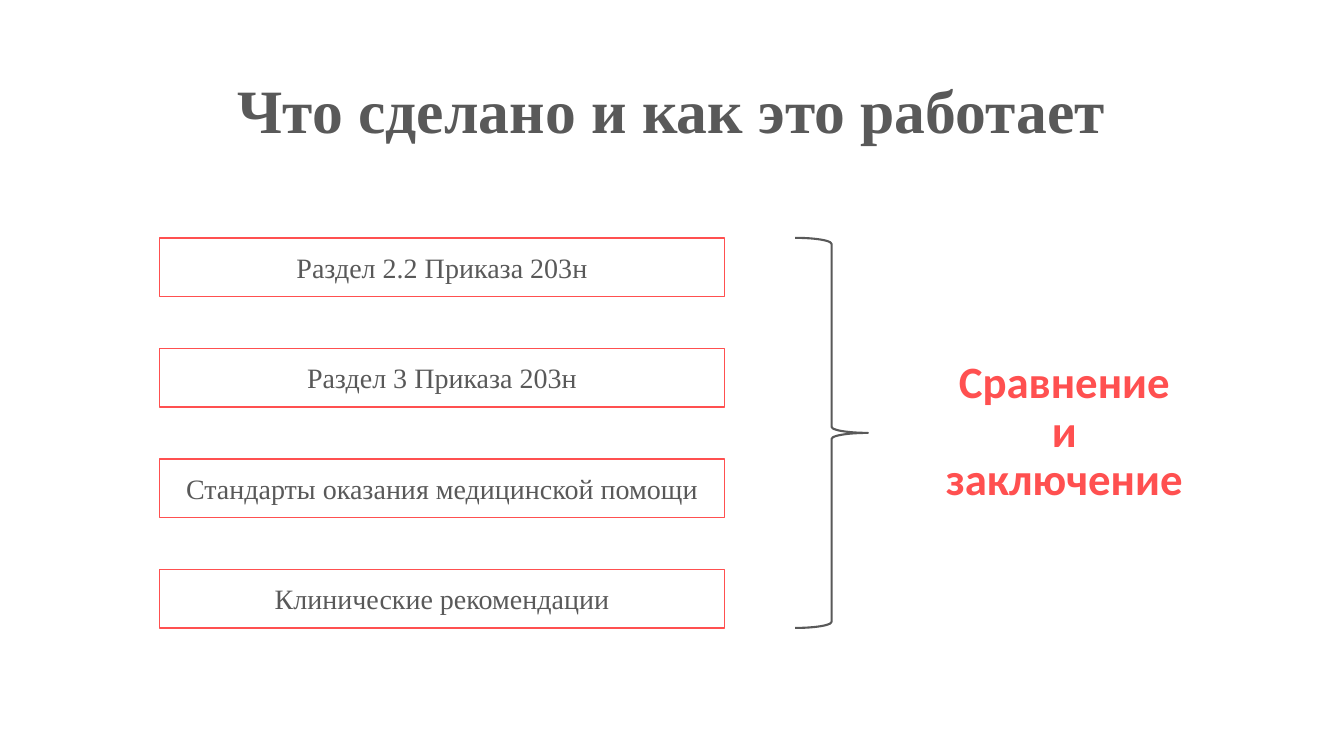
from pptx import Presentation
from pptx.dml.color import RGBColor
from pptx.enum.shapes import MSO_SHAPE
from pptx.enum.text import MSO_ANCHOR, PP_ALIGN
from pptx.util import Pt

RECTANGLE = MSO_SHAPE.RECTANGLE
RIGHT_BRACE = MSO_SHAPE.RIGHT_BRACE
MIDDLE = MSO_ANCHOR.MIDDLE
CENTER = PP_ALIGN.CENTER

COLORS = {"white": "FFFFFF", "gray": "595959", "red": "FF5050"}
SERIF = "Times New Roman"
SOURCES = [
    "Раздел 2.2 Приказа 203н",
    "Раздел 3 Приказа 203н",
    "Стандарты оказания медицинской помощи",
    "Клинические рекомендации",
]


def rgb(name):
    return RGBColor.from_string(COLORS[name])


def write(shape, text, size, font_name, color, bold=False):
    frame = shape.text_frame
    frame.word_wrap = True
    frame.vertical_anchor = MIDDLE
    paragraph = frame.paragraphs[0]
    paragraph.text = text
    paragraph.alignment = CENTER
    font = paragraph.font
    font.size = Pt(size)
    font.name = font_name
    font.bold = bold
    font.color.rgb = rgb(color)
    return paragraph


def add_heading(slide, left, top, width, height):
    heading = slide.shapes.add_textbox(Pt(left), Pt(top), Pt(width), Pt(height))
    paragraph = write(heading, "Что сделано и как это работает", 44, SERIF, "gray", True)
    paragraph.line_spacing = 0.9


def add_sources(slide, left, top, width, height):
    row_height = 41.76
    step = (height - row_height) / (len(SOURCES) - 1)
    for index, name in enumerate(SOURCES):
        source = slide.shapes.add_shape(
            RECTANGLE, Pt(left), Pt(top + index * step), Pt(width), Pt(row_height))
        source.shadow.inherit = False
        source.fill.solid()
        source.fill.fore_color.rgb = rgb("white")
        source.line.color.rgb = rgb("red")
        source.line.width = Pt(1)
        write(source, name, 20, SERIF, "gray")


def add_brace(slide, left, top, width, height):
    brace = slide.shapes.add_shape(RIGHT_BRACE, Pt(left), Pt(top), Pt(width), Pt(height))
    brace.shadow.inherit = False
    brace.fill.background()
    brace.line.color.rgb = rgb("gray")
    brace.line.width = Pt(1.5)


def add_conclusion(slide, left, top, width, height):
    conclusion = slide.shapes.add_textbox(Pt(left), Pt(top), Pt(width), Pt(height))
    paragraph = write(conclusion, "Сравнение и заключение", 32, "Calibri", "red", True)
    paragraph.line_spacing = 0.9
    paragraph.space_before = Pt(10)
    conclusion.text_frame.margin_left = Pt(9)
    conclusion.text_frame.margin_right = Pt(9)


def main():
    presentation = Presentation()
    presentation.slide_width = Pt(960)
    presentation.slide_height = Pt(540)
    slide = presentation.slides.add_slide(presentation.slide_layouts[6])
    body_top, body_height = 169.92, 278.64
    add_heading(slide, 66, 28.75, 828, 104.4)
    add_sources(slide, 113.76, body_top, 403.92, body_height)
    add_brace(slide, 568, body_top, 52, body_height)
    add_conclusion(slide, 665.28, body_top, 190.08, body_height)
    presentation.save("out.pptx")


if __name__ == "__main__":
    main()
